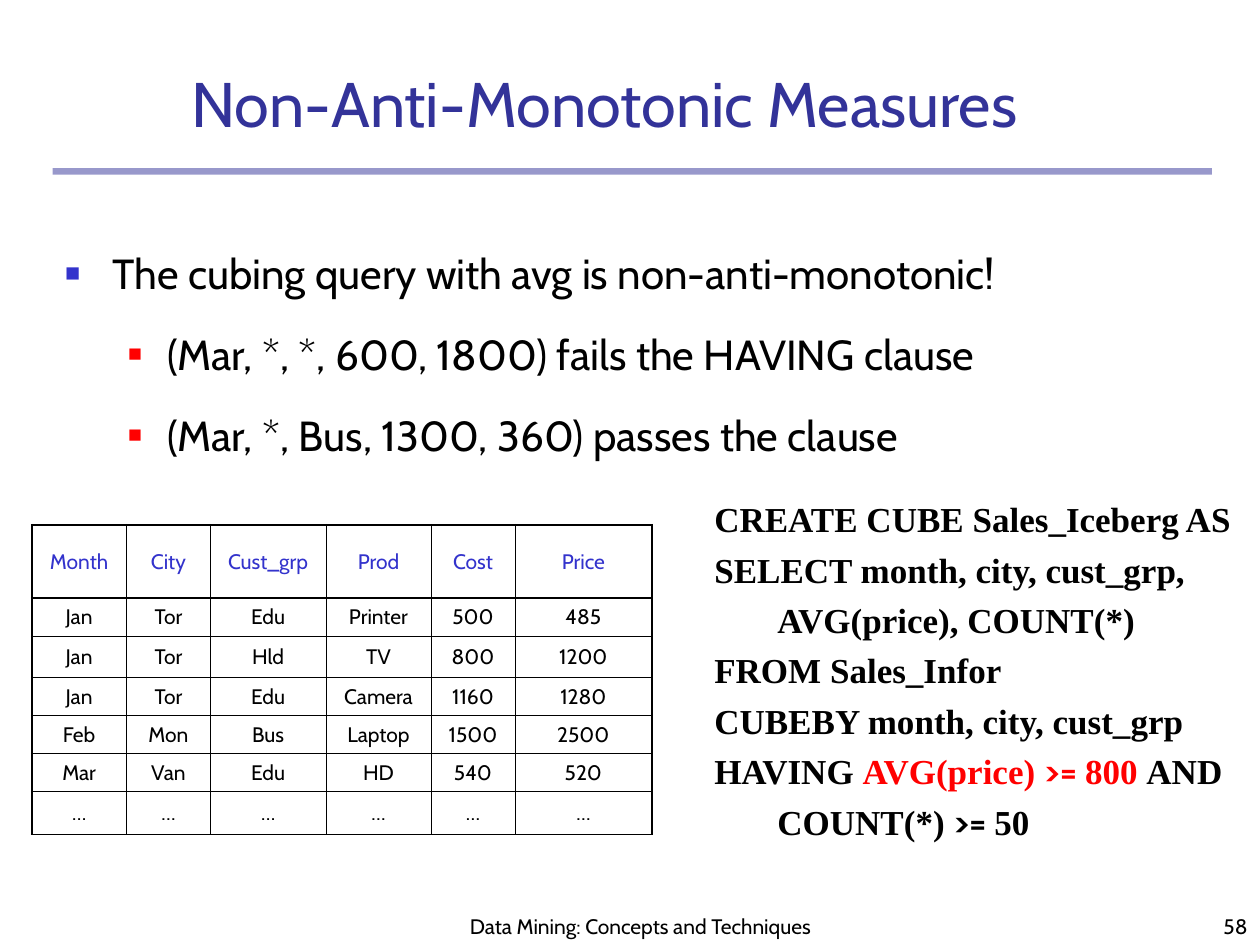
from dataclasses import dataclass

from lxml import etree
from pptx import Presentation
from pptx.dml.color import RGBColor
from pptx.enum import shapes, text
from pptx.oxml import ns
from pptx.util import Cm, Pt


@dataclass(frozen=True)
class Theme:
    sans: str = "Cabin"
    serif: str = "Times New Roman"
    heading: str = "333399"
    accent: str = "3333CC"
    alert: str = "FF0000"
    ink: str = "000000"
    title_size: int = 36
    body_size: int = 24
    query_size: int = 20
    small_size: int = 12
    thick: float = 1.08
    thin: float = 0.45


@dataclass(frozen=True)
class Box:
    left: float
    top: float
    width: float
    height: float

    def emu(self):
        return Cm(self.left), Cm(self.top), Cm(self.width), Cm(self.height)


THEME = Theme()

BULLETS = [
    (0, "The cubing query with avg is non-anti-monotonic!"),
    (1, "(Mar, *, *, 600, 1800) fails the HAVING clause"),
    (1, "(Mar, *, Bus, 1300, 360) passes the clause"),
]
BULLET_STYLES = [
    (0.95, -0.95, THEME.accent, 60),
    (2.06, -0.79, THEME.alert, 55),
]

QUERY = [
    [("CREATE CUBE Sales_Iceberg AS", THEME.ink)],
    [("SELECT month, city, cust_grp,", THEME.ink)],
    [("\tAVG(price), COUNT(*)", THEME.ink)],
    [("FROM Sales_Infor", THEME.ink)],
    [("CUBEBY month, city, cust_grp", THEME.ink)],
    [("HAVING ", THEME.ink), ("AVG(price) ", THEME.alert), (">= ", THEME.alert),
     ("800 ", THEME.alert), ("AND", THEME.ink)],
    [("\tCOUNT(*) ", THEME.ink), (">= ", THEME.ink), ("50", THEME.ink)],
]

SALES = [
    ["Month", "City", "Cust_grp", "Prod", "Cost", "Price"],
    ["Jan", "Tor", "Edu", "Printer", "500", "485"],
    ["Jan", "Tor", "Hld", "TV", "800", "1200"],
    ["Jan", "Tor", "Edu", "Camera", "1160", "1280"],
    ["Feb", "Mon", "Bus", "Laptop", "1500", "2500"],
    ["Mar", "Van", "Edu", "HD", "540", "520"],
    ["…"] * 6,
]
COLUMN_WIDTHS = [1.91, 1.69, 2.33, 2.12, 1.69, 2.76]
ROW_HEIGHTS = [1.48, 0.76, 0.84, 0.76, 0.76, 0.76, 0.87]


def add_xml(parent, tag, **attributes):
    return etree.SubElement(parent, ns.qn(tag), attributes)


def style_run(run, size, color, font=THEME.sans, bold=False):
    run.font.size = Pt(size)
    run.font.name = font
    run.font.bold = bold
    run.font.color.rgb = RGBColor.from_string(color)


def place(placeholder, box, anchor):
    placeholder.left, placeholder.top, placeholder.width, placeholder.height = box.emu()
    frame = placeholder.text_frame
    frame.auto_size = text.MSO_AUTO_SIZE.NONE
    frame.vertical_anchor = anchor
    return frame


def draw_heading(slide, box, rule_box):
    rule = slide.shapes.add_shape(shapes.MSO_SHAPE.RECTANGLE, *rule_box.emu())
    rule.shadow.inherit = False
    rule.line.fill.background()
    rule.fill.solid()
    rule.fill.fore_color.rgb = RGBColor.from_string(THEME.heading)
    color = rule.fill._xPr.find(".//" + ns.qn("a:srgbClr"))
    add_xml(color, "a:alpha", val="50000")

    frame = place(slide.shapes.title, box, text.MSO_ANCHOR.BOTTOM)
    frame.text = "Non-Anti-Monotonic Measures"
    heading = frame.paragraphs[0]
    heading.alignment = text.PP_ALIGN.LEFT
    style_run(heading.runs[0], THEME.title_size, THEME.heading)


def draw_bullets(slide, box):
    frame = place(slide.placeholders[1], box, text.MSO_ANCHOR.TOP)
    frame.text = "\n".join(wording for _, wording in BULLETS)
    for point, (level, _) in zip(frame.paragraphs, BULLETS):
        margin, indent, color, percent = BULLET_STYLES[level]
        point.level = level
        point.line_spacing = 1.4
        point.space_before = Pt(6)
        properties = point._p.get_or_add_pPr()
        properties.set("marL", str(Cm(margin)))
        properties.set("indent", str(Cm(indent)))
        add_xml(add_xml(properties, "a:buClr"), "a:srgbClr", val=color)
        add_xml(properties, "a:buSzPct", val=str(percent * 1000))
        add_xml(properties, "a:buFont", typeface="Arial")
        add_xml(properties, "a:buChar", char="■")
        style_run(point.runs[0], THEME.body_size, THEME.ink)


def draw_query(slide, box):
    frame = slide.shapes.add_textbox(*box.emu()).text_frame
    frame.word_wrap = False
    for number, parts in enumerate(QUERY):
        line = frame.add_paragraph() if number else frame.paragraphs[0]
        line.line_spacing = 1.2
        for wording, color in parts:
            run = line.add_run()
            run.text = wording
            font = THEME.sans if wording == ">= " else THEME.serif
            style_run(run, THEME.query_size, color, font, True)


def set_borders(cell, row, column):
    last_row, last_column = len(SALES) - 1, len(SALES[0]) - 1
    thick_edges = {
        "a:lnL": column == 0,
        "a:lnR": column == last_column,
        "a:lnT": row in (0, 1),
        "a:lnB": row in (0, last_row),
    }
    properties = cell._tc.get_or_add_tcPr()
    for edge, is_thick in thick_edges.items():
        width = Pt(THEME.thick if is_thick else THEME.thin)
        line = add_xml(properties, edge, w=str(width))
        add_xml(add_xml(line, "a:solidFill"), "a:srgbClr", val=THEME.ink)


def draw_sales(slide, box):
    sales = slide.shapes.add_table(len(SALES), len(SALES[0]), *box.emu()).table
    sales.first_row = False
    sales.horz_banding = False
    for column, width in zip(sales.columns, COLUMN_WIDTHS):
        column.width = Cm(width)
    for row, height in zip(sales.rows, ROW_HEIGHTS):
        row.height = Cm(height)
    for row, values in enumerate(SALES):
        for column, value in enumerate(values):
            cell = sales.cell(row, column)
            cell.text_frame.text = value
            cell.vertical_anchor = text.MSO_ANCHOR.MIDDLE
            entry = cell.text_frame.paragraphs[0]
            entry.alignment = text.PP_ALIGN.CENTER
            entry.space_before = Pt(3)
            style_run(entry.runs[0], THEME.small_size, THEME.ink if row else THEME.accent)
            set_borders(cell, row, column)
            cell.fill.background()


def draw_footer(slide, box, wording, alignment):
    frame = slide.shapes.add_textbox(*box.emu()).text_frame
    frame.word_wrap = True
    frame.vertical_anchor = text.MSO_ANCHOR.BOTTOM
    frame.text = wording
    frame.paragraphs[0].alignment = alignment
    style_run(frame.paragraphs[0].runs[0], THEME.small_size, THEME.ink)


deck = Presentation()
deck.slide_width, deck.slide_height = Cm(25.4), Cm(19.05)
measures = deck.slides.add_slide(deck.slide_layouts[1])
draw_heading(measures, Box(3.6, 1.27, 19.1, 1.69), Box(1.06, 3.39, 23.37, 0.13))
draw_bullets(measures, Box(1.06, 4.45, 23.28, 5.03))
draw_query(measures, Box(14.15, 9.74, 11.09, 7.37))
draw_sales(measures, Box(0.64, 10.58, sum(COLUMN_WIDTHS), sum(ROW_HEIGHTS)))
draw_footer(measures, Box(8.89, 17.57, 8.05, 1.48),
            "Data Mining: Concepts and Techniques", text.PP_ALIGN.CENTER)
draw_footer(measures, Box(20.11, 17.78, 5.29, 1.27), "58", text.PP_ALIGN.RIGHT)
deck.save("out.pptx")
